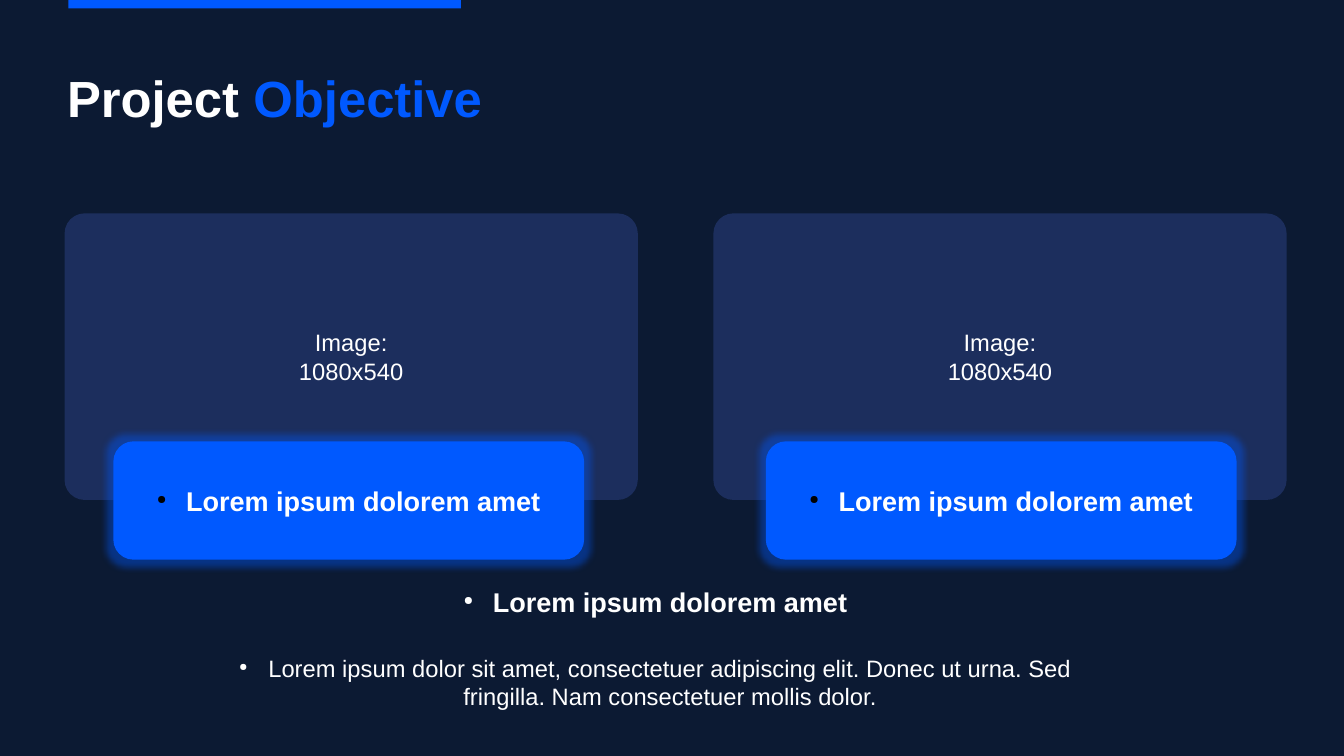
from dataclasses import dataclass

from lxml.etree import SubElement
from pptx import Presentation
from pptx.dml.color import RGBColor
from pptx.enum.shapes import MSO_SHAPE
from pptx.enum.text import MSO_ANCHOR, PP_ALIGN
from pptx.oxml.ns import qn
from pptx.util import Inches, Pt


@dataclass(frozen=True)
class Theme:
    font: str = "Arial"
    night: str = "0C1A33"
    panel: str = "1C2E5D"
    accent: str = "0059FF"
    light: str = "FFFFFF"
    dark: str = "000000"
    title: int = 30
    heading: int = 16
    body: int = 14


THEME = Theme()
WIDTH, HEIGHT = 11.02, 6.2

# Two columns, each an image panel with a caption overlapping its lower edge
PANEL_LEFT, PANEL_TOP, PANEL_WIDTH, PANEL_HEIGHT = 0.53, 1.75, 4.7, 2.35
CAPTION_LEFT, CAPTION_TOP, CAPTION_WIDTH, CAPTION_HEIGHT = 0.93, 3.62, 3.86, 0.97
PANEL_PITCH, CAPTION_PITCH = 5.32, 5.35
COLUMNS = 2
CAPTION = "Lorem ipsum dolorem amet"


def color(value):
    return RGBColor.from_string(value)


def set_font(font, size, bold=False):
    font.name = THEME.font
    font.size = Pt(size)
    font.bold = bold
    font.color.rgb = color(THEME.light)


def add_bullet(para, bullet_color):
    properties = para._p.get_or_add_pPr()
    properties.set("marL", str(Inches(0.24)))
    properties.set("indent", str(-Inches(0.24)))
    shade = SubElement(properties, qn("a:buClr"))
    SubElement(shade, qn("a:srgbClr"), val=bullet_color)
    SubElement(properties, qn("a:buSzPct"), val="45000")
    SubElement(properties, qn("a:buChar"), char="●")


def write_lines(frame, lines, bullet_color=None, gap=0):
    """Write centred lines, each given as (text, size, bold)."""
    frame.vertical_anchor = MSO_ANCHOR.MIDDLE
    for index, (text, size, bold) in enumerate(lines):
        para = frame.add_paragraph() if index else frame.paragraphs[0]
        para.text = text
        para.alignment = PP_ALIGN.CENTER
        if bullet_color:
            add_bullet(para, bullet_color)
        if index and gap:
            para.space_before = Pt(gap)
        set_font(para.font, size, bold)


def clear_margins(frame):
    frame.margin_left = frame.margin_right = 0
    frame.margin_top = frame.margin_bottom = 0


def add_block(page, kind, left, top, width, height, fill):
    box = page.shapes.add_shape(
        kind, Inches(left), Inches(top), Inches(width), Inches(height))
    box.shadow.inherit = False
    box.fill.solid()
    box.fill.fore_color.rgb = color(fill)
    box.line.fill.background()
    box.text_frame.word_wrap = False
    return box


def add_glow(box):
    effects = box._element.spPr.find(qn("a:effectLst"))
    glow = SubElement(effects, qn("a:glow"), rad=str(Pt(8)))
    shade = SubElement(glow, qn("a:srgbClr"), val=THEME.accent)
    SubElement(shade, qn("a:alpha"), val="40000")


def add_panel(page, column):
    box = add_block(page, MSO_SHAPE.ROUNDED_RECTANGLE,
                    PANEL_LEFT + column * PANEL_PITCH, PANEL_TOP,
                    PANEL_WIDTH, PANEL_HEIGHT, THEME.panel)
    box.adjustments[0] = 0.07
    write_lines(box.text_frame, [("Image:", THEME.body, False),
                                 ("1080x540", THEME.body, False)])


def add_caption(page, column):
    box = add_block(page, MSO_SHAPE.ROUNDED_RECTANGLE,
                    CAPTION_LEFT + column * CAPTION_PITCH, CAPTION_TOP,
                    CAPTION_WIDTH, CAPTION_HEIGHT, THEME.accent)
    box.adjustments[0] = 0.17
    add_glow(box)
    write_lines(box.text_frame, [(CAPTION, THEME.heading, True)], THEME.dark)


def add_title(page):
    title = page.shapes.title
    title.left, title.top = Inches(0.55), Inches(0.5)
    title.width, title.height = Inches(9.95), Inches(0.75)
    frame = title.text_frame
    clear_margins(frame)
    frame.margin_top = Inches(0.05)
    frame.vertical_anchor = MSO_ANCHOR.TOP
    para = frame.paragraphs[0]
    para.alignment = PP_ALIGN.LEFT
    for text, shade in (("Project ", THEME.light), ("Objective", THEME.accent)):
        span = para.add_run()
        span.text = text
        set_font(span.font, THEME.title, True)
        span.font.color.rgb = color(shade)


def add_summary(page):
    box = page.shapes.add_textbox(
        Inches(1.75), Inches(4.83), Inches(7.25), Inches(0.97))
    frame = box.text_frame
    frame.word_wrap = True
    clear_margins(frame)
    write_lines(frame, [
        (CAPTION, THEME.heading, True),
        ("Lorem ipsum dolor sit amet, consectetuer adipiscing elit. "
         "Donec ut urna. Sed fringilla. Nam consectetuer mollis dolor.",
         THEME.body, False),
    ], THEME.light, gap=20.7)


def main():
    deck = Presentation()
    deck.slide_width, deck.slide_height = Inches(WIDTH), Inches(HEIGHT)
    page = deck.slides.add_slide(deck.slide_layouts[5])
    page.background.fill.solid()
    page.background.fill.fore_color.rgb = color(THEME.night)

    # Accent bar and title
    add_block(page, MSO_SHAPE.RECTANGLE, 0.56, 0, 3.22, 0.07, THEME.accent)
    add_title(page)

    # Image panels, summary and captions
    for column in range(COLUMNS):
        add_panel(page, column)
    add_summary(page)
    for column in range(COLUMNS):
        add_caption(page, column)

    deck.save("out.pptx")


if __name__ == "__main__":
    main()
